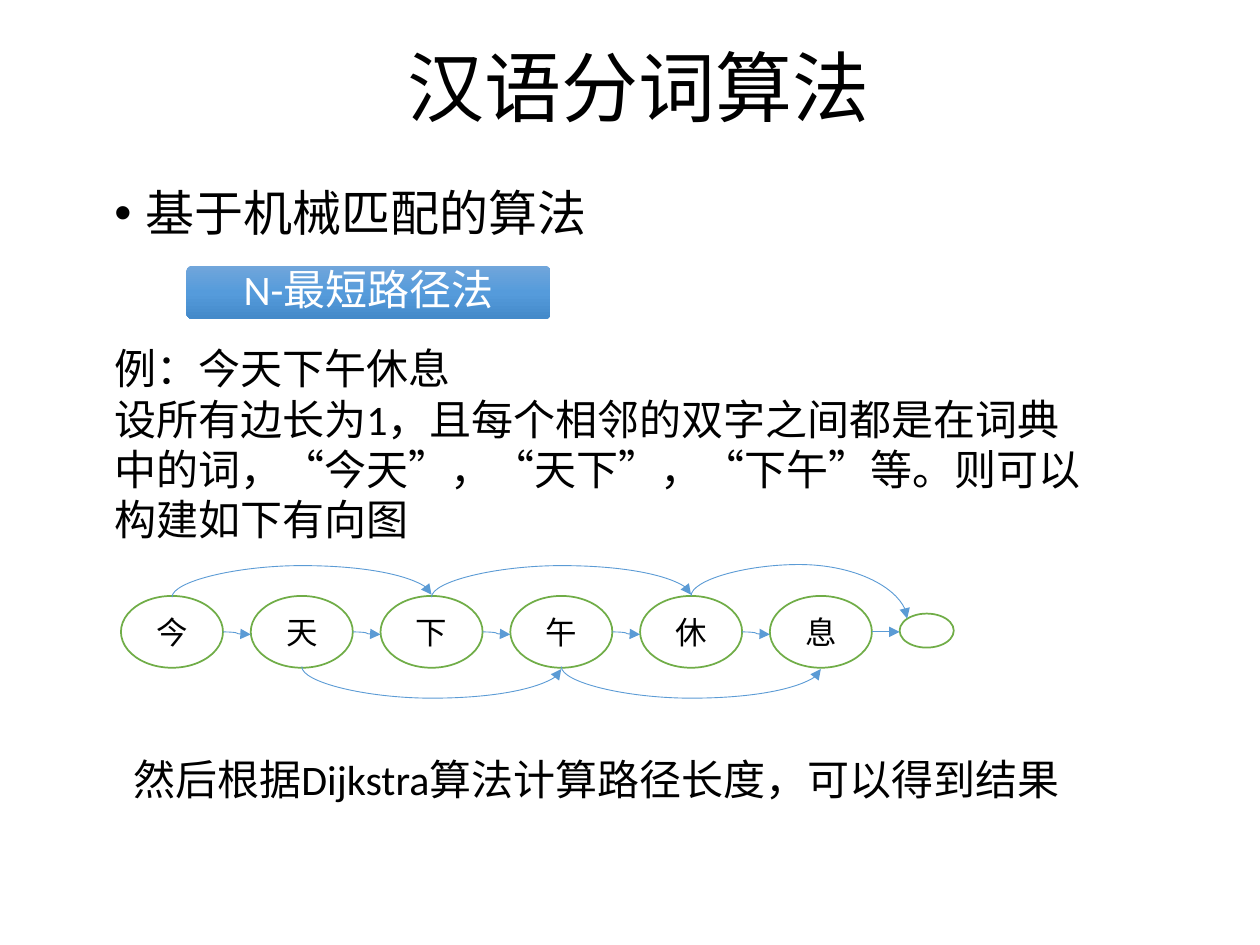
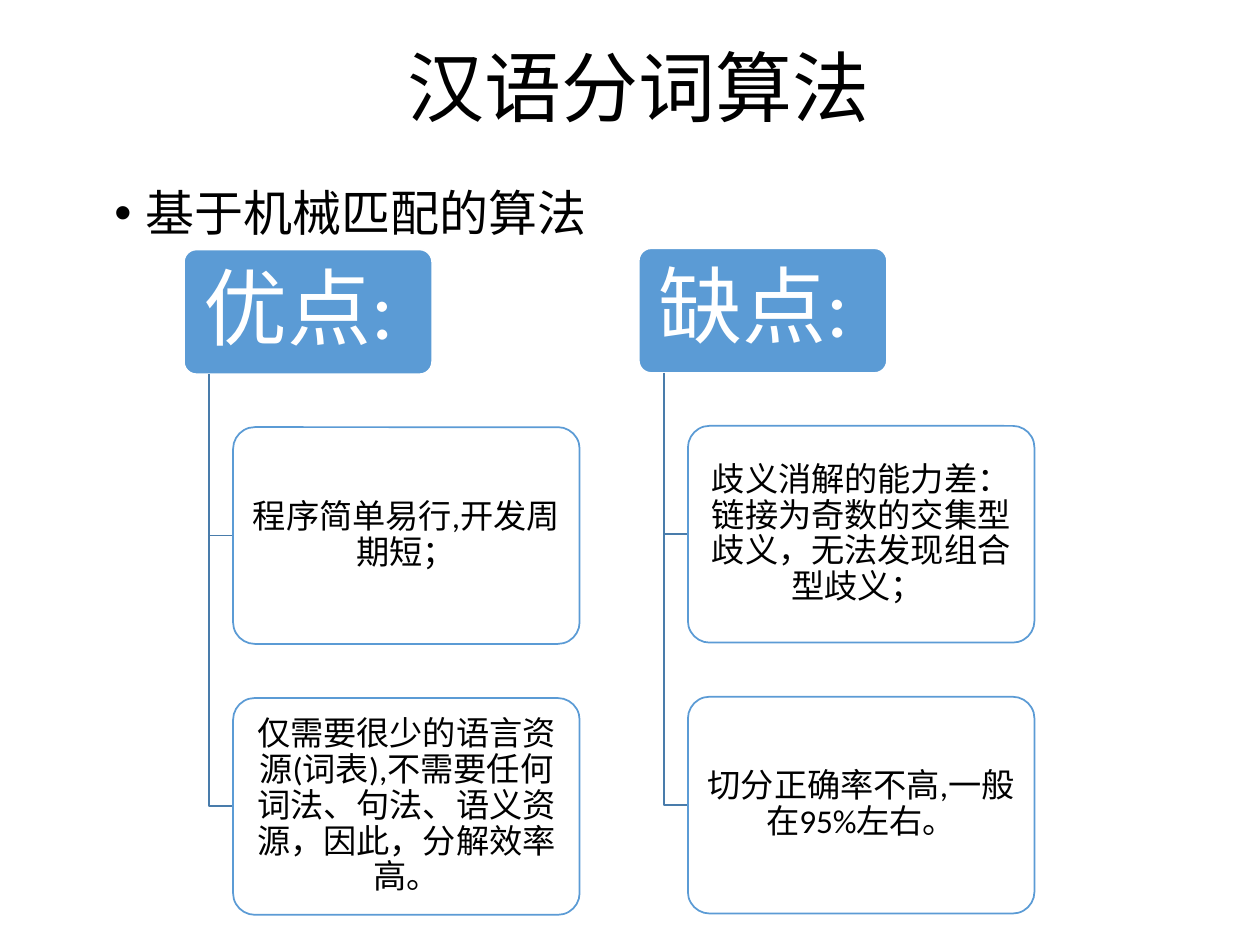
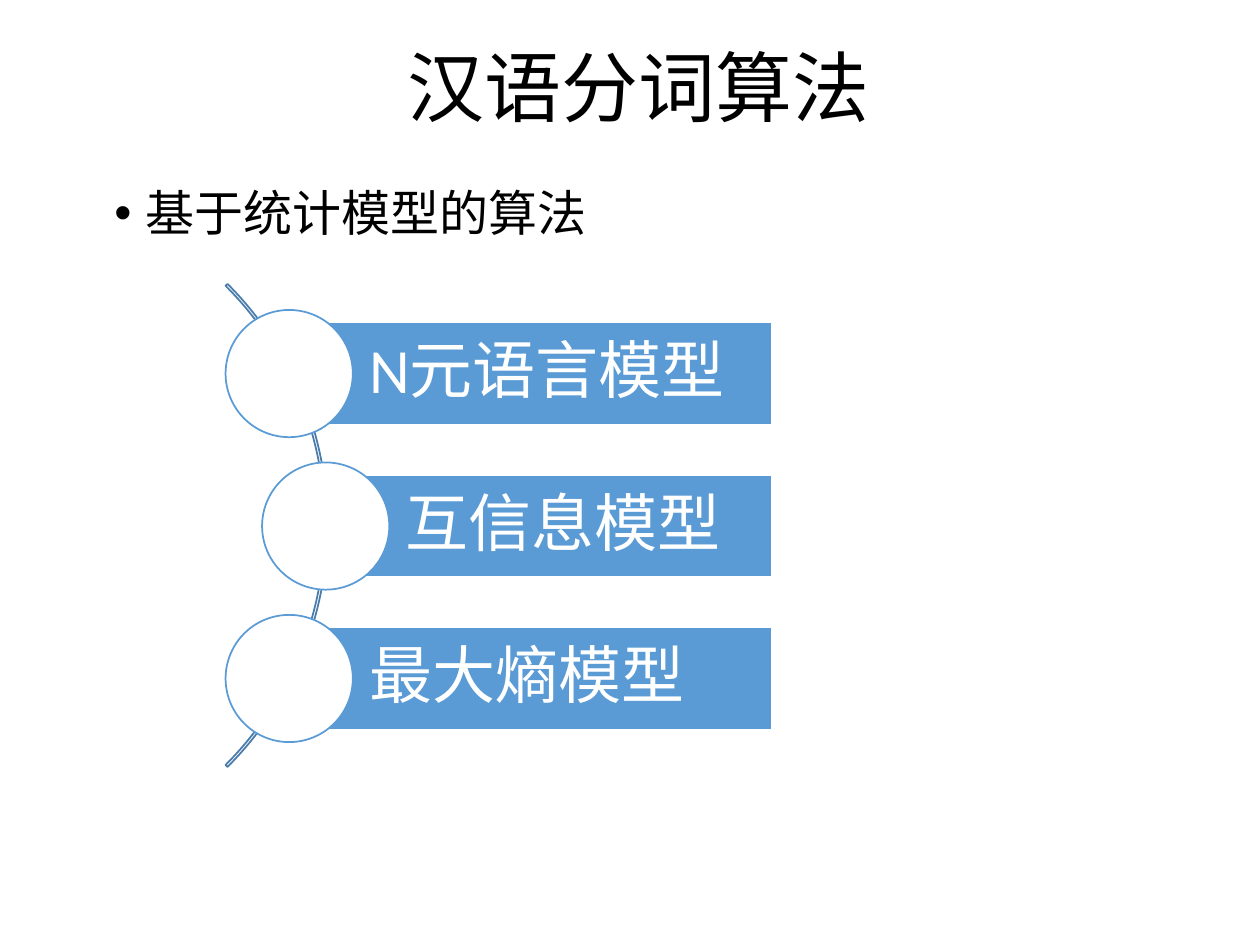
"""Builds three slides on Chinese word segmentation algorithms."""
from lxml.etree import SubElement as Sub
from pptx import Presentation
from pptx.dml.color import RGBColor
from pptx.enum.shapes import MSO_CONNECTOR as Link, MSO_SHAPE as Kind
from pptx.enum.text import MSO_ANCHOR as Anchor, PP_ALIGN as Align
from pptx.oxml.ns import qn
from pptx.util import Inches, Pt

INK = dict(black="000000", white="FFFFFF", blue="5B9BD5", steel="497CAB", green="70AD47")
SHADE = [(0, "71A6DB"), (50, "559BDB"), (100, "448ACA")]
LATIN, HAN = "Calibri", "Noto Sans CJK SC"

TITLE = " 汉语分词算法"
MATCH, STATS = "基于机械匹配的算法", "基于统计模型的算法"
METHOD = "N-最短路径法"
SAMPLE = ["例：今天下午休息",
          "设所有边长为1，且每个相邻的双字之间都是在词典中的词，"
          "“今天”，“天下”，“下午”等。则可以构建如下有向图"]
RESULT = "然后根据Dijkstra算法计算路径长度，可以得到结果"
CHARS = "今天下午休息"
TREES = [
    (1.46, 1.98, "优点: ", ["程序简单易行,开发周期短；",
                          "仅需要很少的语言资源(词表),不需要任何词法、句法、语义资源，因此，分解效率高。"]),
    (5.07, 1.97, "缺点: ", ["歧义消解的能力差：链接为奇数的交集型歧义，无法发现组合型歧义； ",
                          "切分正确率不高,一般在95%左右。"]),
]
MODELS = [("N元语言模型", 0), ("互信息模型", 0.29), ("最大熵模型", 0)]

deck = Presentation()
deck.slide_width, deck.slide_height = Inches(10), Inches(7.5)


def rgb(name):
    return RGBColor.from_string(INK[name])


def put(shape, text, size=24, color="black", font=LATIN, align=Align.LEFT,
        anchor=Anchor.MIDDLE, pad=(0.1, 0.05, 0.1, 0.05), lead=None, bullet=False):
    frame = shape.text_frame
    frame.word_wrap, frame.vertical_anchor = True, anchor
    (frame.margin_left, frame.margin_top,
     frame.margin_right, frame.margin_bottom) = map(Inches, pad)
    lines = [text] if isinstance(text, str) else text
    for i, line in enumerate(lines):
        para = frame.add_paragraph() if i else frame.paragraphs[0]
        para.alignment = align
        if lead:
            para.line_spacing = lead
        if bullet:
            para.space_before = Pt(10)
            props = para._p.get_or_add_pPr()
            props.set("marL", str(Inches(0.25)))
            props.set("indent", str(-Inches(0.25)))
            Sub(props, qn("a:buFont"), typeface="Arial")
            Sub(props, qn("a:buChar"), char="•")
        run = para.add_run()
        run.text = line
        run.font.size, run.font.name = Pt(size), font
        run.font.color.rgb = rgb(color)
        Sub(run._r.get_or_add_rPr(), qn("a:ea"), typeface=HAN)


def label(page, box, text, **look):
    put(page.shapes.add_textbox(*map(Inches, box)), text, **look)


def paint(shape, fill=None, line=None):
    shape.shadow.inherit = False
    if fill:
        shape.fill.solid()
        shape.fill.fore_color.rgb = rgb(fill)
    else:
        shape.fill.background()
    if line:
        shape.line.color.rgb, shape.line.width = rgb(line), Pt(1)
    else:
        shape.line.fill.background()


def draw(page, kind, box, fill=None, line=None, adj=()):
    shape = page.shapes.add_shape(kind, *map(Inches, box))
    for i, value in enumerate(adj):
        shape.adjustments[i] = value
    paint(shape, fill, line)
    return shape


def start(topic):
    page = deck.slides.add_slide(deck.slide_layouts[6])
    label(page, (-0.75, 0, 11.5, 1.45), TITLE, size=44, font=HAN, align=Align.CENTER, lead=0.9)
    label(page, (0.81, 1.45, 5.65, 0.53), topic, size=28, font=HAN, anchor=Anchor.TOP,
          lead=0.9, bullet=True)
    return page


def arrow(page, x1, y1, x2, y2, bow=None):
    ends, turn = (x1, y1, x2, y2), 1 if y2 < y1 else -1
    if bow:
        mx, my = (x1 + x2) / 2, (y1 + y2) / 2
        dx, dy = turn * (x2 - x1) / 2, turn * (y2 - y1) / 2
        ends = (mx - dy, my + dx, mx + dy, my - dx)
    link = page.shapes.add_connector(Link.CURVE, *map(Inches, ends))
    link.line.color.rgb, link.line.width = rgb("blue"), Pt(0.5)
    props = link._element.spPr
    if bow:
        props.find(qn("a:xfrm")).set("rot", str((90 if turn > 0 else 270) * 60000))
        Sub(props.find(qn("a:prstGeom")).find(qn("a:avLst")), qn("a:gd"), name="adj1",
            fmla=f"val {round(bow / (y2 - y1) * 100000)}")
    Sub(props.find(qn("a:ln")), qn("a:tailEnd"), type="triangle")
    Sub(props, qn("a:effectLst"))


def shade(shape):
    shape.fill.gradient()
    shape.fill.gradient_angle = 270
    stops = shape._element.spPr.find(qn("a:gradFill")).find(qn("a:gsLst"))
    for stop in list(stops):
        stops.remove(stop)
    for pos, color in SHADE:
        Sub(Sub(stops, qn("a:gs"), pos=str(pos * 1000)), qn("a:srgbClr"), val=color)


def graph(page):
    left, top, wide, high, step = 0.96, 4.73, 0.81, 0.57, 1.03
    mid, low = top + high / 2, top + high
    for i, char in enumerate(CHARS):
        node = draw(page, Kind.OVAL, (left + i * step, top, wide, high), "white", "green")
        put(node, char, size=18, align=Align.CENTER)
    draw(page, Kind.OVAL, (7.14, 4.87, 0.43, 0.27), "white", "green")
    for i in range(len(CHARS)):
        x = left + wide + i * step
        drop = 0.02 if i < len(CHARS) - 1 else 0
        arrow(page, x, mid, x + step - wide, mid + drop)
    for i in range(len(CHARS) - 2):
        x = left + wide / 2 + i * step
        y, sign = (low, 1) if i % 2 else (top, -1)
        arrow(page, x, y - sign * 0.01, x + 2 * step, y + sign * 0.01, sign * 0.25)
    arrow(page, left + wide / 2 + 4 * step, top, 7.2, 4.91, -0.25)


def tree(page, left, top, head, notes):
    high, gap = 1.72, 2.15
    box = draw(page, Kind.ROUNDED_RECTANGLE, (left, top, 1.97, 0.99), "blue", "white", [0.1])
    put(box, head, size=48, color="white", align=Align.CENTER, lead=0.9,
        pad=(0.1, 0.07, 0.1, 0.07))
    stem, edge, base = left + 0.2, left + 0.39, top + 0.99
    for i, note in enumerate(notes):
        y = top + 1.41 + i * gap
        mid = y + high / 2
        pen = page.shapes.build_freeform(Inches(stem), Inches(base))
        pen.add_line_segments([(Inches(stem), Inches(mid)), (Inches(edge), Inches(mid))],
                              close=False)
        paint(pen.convert_to_shape(), line="steel")
        card = draw(page, Kind.ROUNDED_RECTANGLE, (edge, y, 2.75, high), "white", "blue", [0.1])
        put(card, note, size=19, align=Align.CENTER, lead=0.9, pad=(0.04, 0.03, 0.04, 0.03))


def arc(page):
    draw(page, Kind.BLOCK_ARC, (-2.82, 1.46, 5.42, 5.42), line="steel", adj=[189, 27, 0.004])
    for i, (name, shift) in enumerate(MODELS):
        x, y = 2.29 + shift, 2.56 + i * 1.21
        bar = draw(page, Kind.RECTANGLE, (x, y, 6.13 - x, 0.81), "blue", "white")
        put(bar, name, size=36, color="white", lead=0.9, pad=(0.64, 0.1, 0.1, 0.1))
        draw(page, Kind.OVAL, (x - 0.5, y - 0.1, 1.01, 1.01), "white", "blue")


page = start(MATCH)
badge = draw(page, Kind.ROUNDED_RECTANGLE, (1.48, 2.11, 2.89, 0.42), adj=[0.1])
shade(badge)
put(badge, METHOD, color="white", align=Align.CENTER, lead=0.9, pad=(0.15,) * 4)
label(page, (0.81, 2.67, 7.92, 2.05), SAMPLE, anchor=Anchor.TOP)
graph(page)
label(page, (0.96, 5.93, 7.82, 0.5), RESULT, anchor=Anchor.TOP)

page = start(MATCH)
for item in TREES:
    tree(page, *item)

arc(start(STATS))
deck.save("out.pptx")
